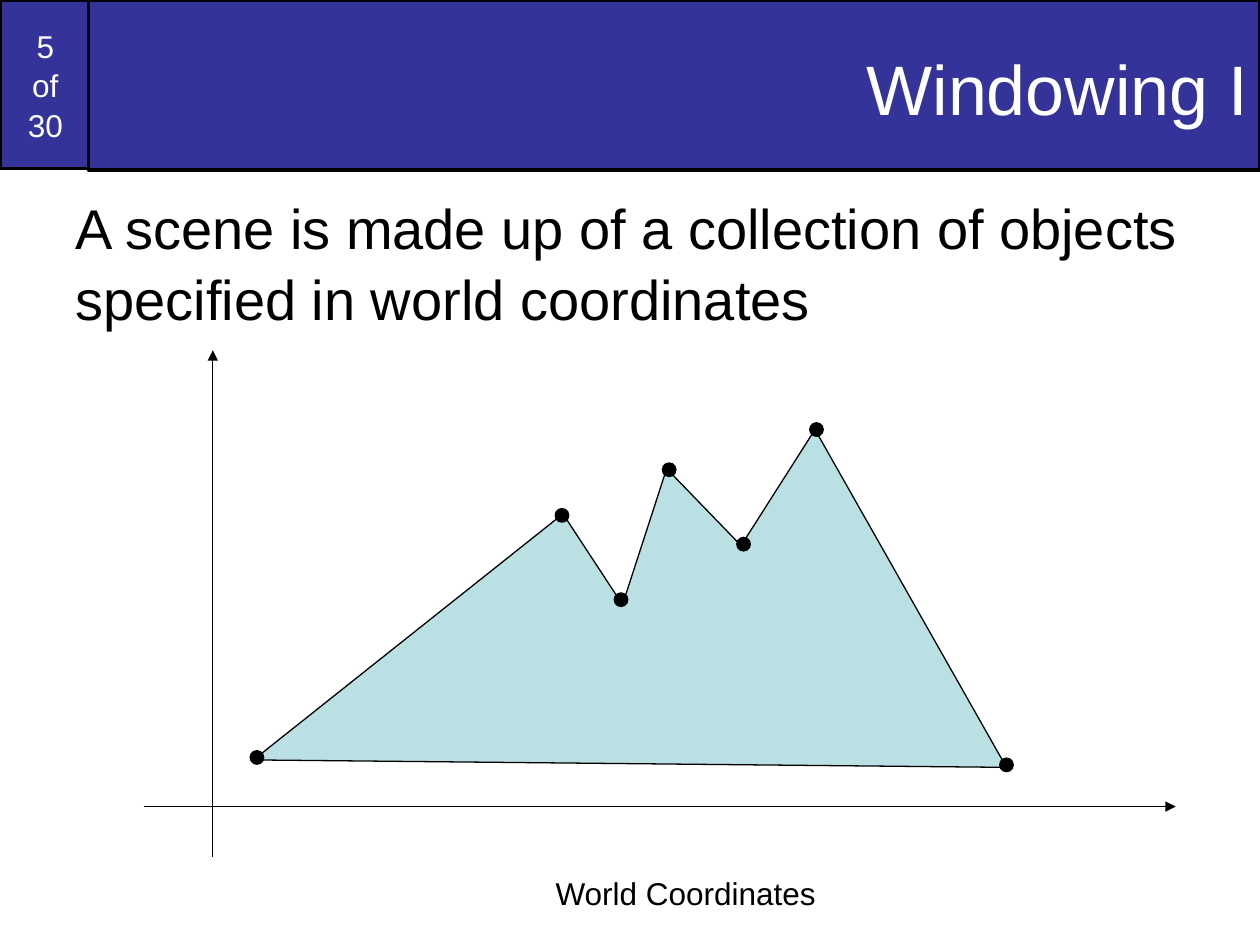
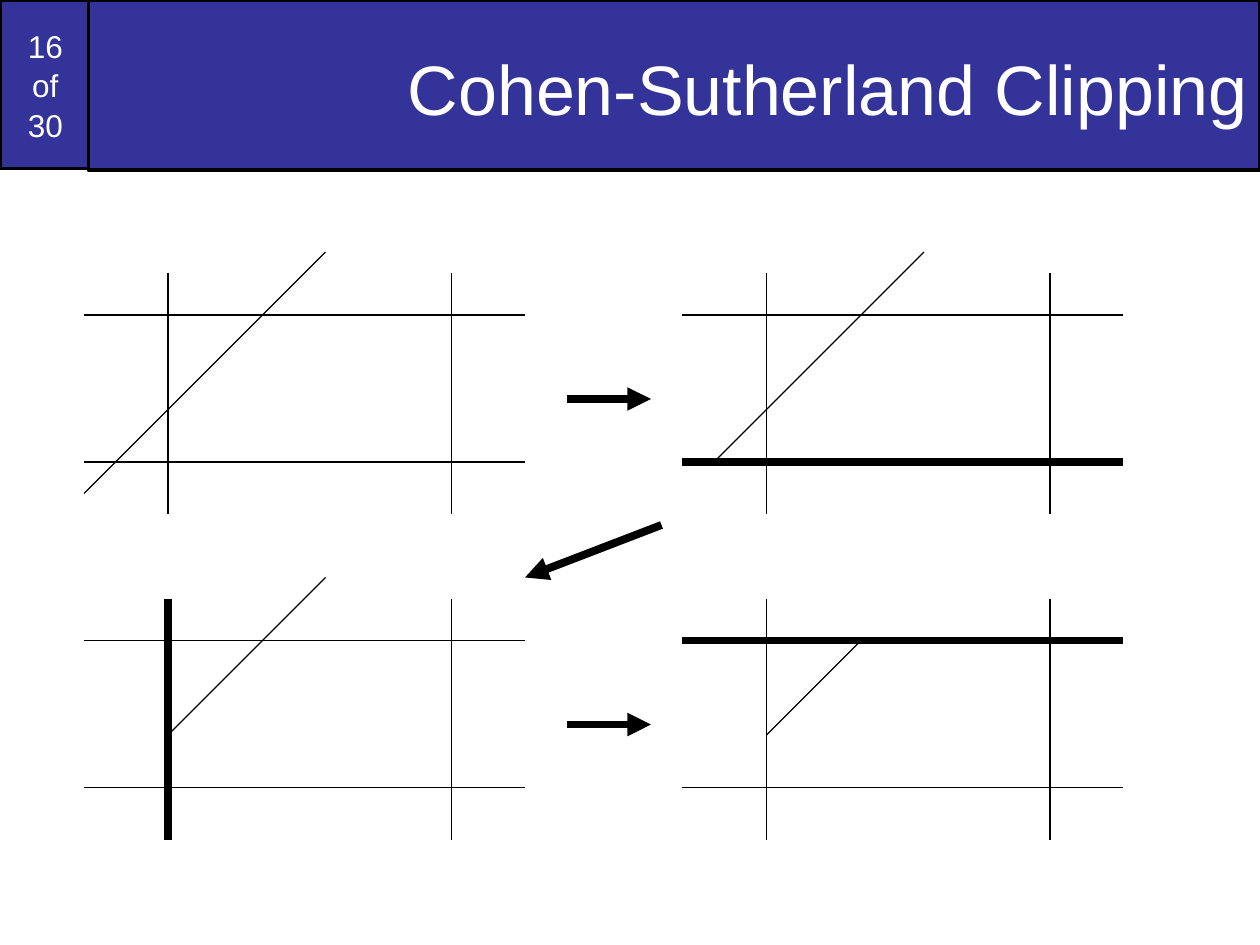
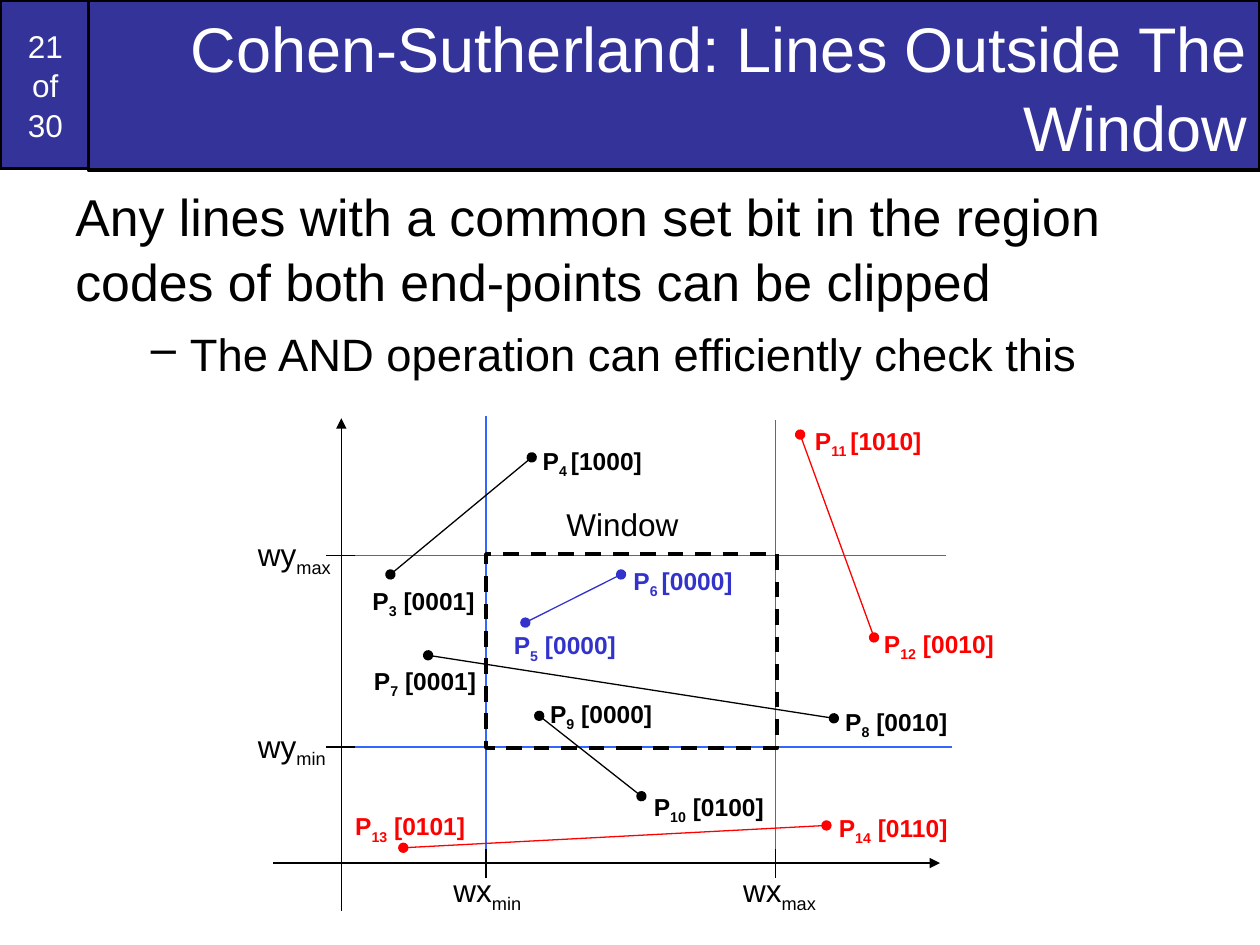
from itertools import pairwise

from lxml.etree import SubElement
from pptx import Presentation
from pptx.dml.color import RGBColor
from pptx.enum.dml import MSO_LINE_DASH_STYLE as Dash
from pptx.enum.shapes import MSO_CONNECTOR as Connector, MSO_SHAPE as Shape
from pptx.enum.text import MSO_ANCHOR as Anchor, MSO_AUTO_SIZE as AutoSize, PP_ALIGN as Align
from pptx.oxml.ns import qn
from pptx.util import Cm, Pt

FONT = "Arial"
BLACK, WHITE, BAND = "000000", "FFFFFF", "333399"
MOUNTAIN, GUIDE, INSIDE, OUTSIDE = "BBE0E3", "3366FF", "3333CC", "FF0000"
THIN, THICK = 0.75, 4.5
LINE_SPACING = 1.05
PAGE_COUNT = 30
GRID = 2.54 / 12

RIDGE = [(2.21, 8.26), (8.45, 3.3), (9.65, 5.13), (10.54, 2.39),
         (12.04, 3.94), (13.53, 1.6), (17.39, 8.41)]
VERTICES = [(2.28, 8.21), (8.43, 3.33), (9.62, 5.03), (10.59, 2.41),
            (12.09, 3.91), (13.56, 1.6), (17.39, 8.36)]

EDGES = {"left": (8, 2, 8, 25), "right": (35, 2, 35, 25),
         "top": (0, 6, 42, 6), "bottom": (0, 20, 42, 20)}
CROSSINGS = [(0, 23), (3, 20), (8, 15), (17, 6), (23, 0)]
CLIP_STEPS = [(None, CROSSINGS), ("bottom", CROSSINGS[1:]),
              ("left", CROSSINGS[2:]), ("top", CROSSINGS[2:4])]
STEP_ARROWS = [(46, 14, 54, 14), (55, 26, 42, 31), (46, 45, 54, 45)]

SEGMENTS = [
    (INSIDE, (5.64, 4.17), (7.57, 3.2),
     [("P|5| [0000]", 5.16, 4.17), ("P|6 |[0000]", 7.57, 2.87)]),
    (BLACK, (2.92, 3.2), (5.77, 0.84),
     [("P|3| [0001]", 2.31, 3.28), ("P|4 |[1000]", 5.74, 0.46)]),
    (BLACK, (5.92, 6.05), (7.98, 7.67),
     [("P|9| [0000]", 5.89, 5.56), ("P|10| [0100]", 7.98, 7.42)]),
    (BLACK, (3.68, 4.83), (11.86, 6.1),
     [("P|7| [0001]", 2.34, 4.88), ("P|8| [0010]", 11.84, 5.72)]),
    (OUTSIDE, (12.67, 4.47), (11.18, 0.38),
     [("P|12| [0010]", 12.62, 4.14), ("P|11 |[1010]", 11.23, 0.05)]),
    (OUTSIDE, (3.18, 8.71), (11.71, 8.26),
     [("P|13| [0101]", 1.96, 7.82), ("P|14| [0110]", 11.71, 7.85)]),
]


def rgb(value):
    return RGBColor.from_string(value)


def style_text(paragraph, size, color=BLACK, align=Align.LEFT, bold=False):
    paragraph.alignment = align
    paragraph.line_spacing = LINE_SPACING
    for run in paragraph.runs:
        run.font.name = FONT
        run.font.size = Pt(size)
        run.font.bold = bold
        run.font.color.rgb = rgb(color)


def style_shape(shape, fill=None, line=None, weight=THIN):
    if fill:
        shape.fill.solid()
        shape.fill.fore_color.rgb = rgb(fill)
    else:
        shape.fill.background()
    if line:
        shape.line.color.rgb = rgb(line)
        shape.line.width = Pt(weight)
    else:
        shape.line.fill.background()


def add_preset(slide, kind, left, top, width, height, **style):
    shape = slide.shapes.add_shape(kind, Cm(left), Cm(top), Cm(width), Cm(height))
    shape.shadow.inherit = False
    style_shape(shape, **style)
    return shape


def add_line(slide, x1, y1, x2, y2, color=BLACK, weight=THIN, head=None, tail=None):
    line = slide.shapes.add_connector(Connector.STRAIGHT, Cm(x1), Cm(y1), Cm(x2), Cm(y2))
    line.line.color.rgb = rgb(color)
    line.line.width = Pt(weight)
    properties = line.element.spPr
    outline = properties.find(qn("a:ln"))
    for end, kind in (("a:headEnd", head), ("a:tailEnd", tail)):
        if kind:
            SubElement(outline, qn(end)).set("type", kind)
    SubElement(properties, qn("a:effectLst"))


def add_text(slide, left, top, width, height, wrap=True):
    box = slide.shapes.add_textbox(Cm(left), Cm(top), Cm(width), Cm(height))
    box.text_frame.word_wrap = wrap
    return box.text_frame


def add_label(slide, text, left, top, width, height, size=18, color=BLACK, bold=False):
    paragraph = add_text(slide, left, top, width, height, wrap=False).paragraphs[0]
    for position, part in enumerate(text.split("|")):
        run = paragraph.add_run()
        run.text = part
        if position == 1:
            run._r.get_or_add_rPr().set("baseline", "-25000")
    style_text(paragraph, size, color, bold=bold)


def add_header(deck, number, heading, size=40):
    slide = deck.slides.add_slide(deck.slide_layouts[5])
    title = slide.shapes.title
    title.left, title.top, title.width, title.height = Cm(1.78), Cm(0), Cm(23.62), Cm(3.43)
    style_shape(title, BAND, BLACK, 2)
    frame = title.text_frame
    frame.text = heading
    frame.word_wrap = True
    frame.auto_size = AutoSize.NONE
    frame.vertical_anchor = Anchor.MIDDLE
    style_text(frame.paragraphs[0], size, WHITE, Align.RIGHT)

    page = add_preset(slide, Shape.RECTANGLE, 0, 0, 1.83, 3.4, fill=BAND, line=BLACK, weight=2)
    page.text_frame.vertical_anchor = Anchor.MIDDLE
    counter = page.text_frame.paragraphs[0]
    counter.text = f"{number}\vof\v{PAGE_COUNT}"
    style_text(counter, 18, WHITE, Align.CENTER)
    title.element.addprevious(page.element)
    return slide


def add_statement(slide, text, top, height, size):
    frame = add_text(slide, 1.27, top, 22.86, height)
    frame.text = text
    style_text(frame.paragraphs[0], size)
    return frame


def add_dash_point(frame, text, size):
    point = frame.add_paragraph()
    point.text = text
    point.level = 1
    point.space_before = Pt(7)
    style_text(point, size)
    properties = point._p.get_or_add_pPr()
    properties.set("marL", str(Cm(2.31)))
    properties.set("indent", str(Cm(-0.79)))
    SubElement(properties, qn("a:buChar")).set("char", "–")


def draw_scene(slide, left, top):
    (start_x, start_y), *ridge = [(Cm(left + x), Cm(top + y)) for x, y in RIDGE]
    outline = slide.shapes.build_freeform(start_x, start_y)
    outline.add_line_segments(ridge, close=True)
    mountain = outline.convert_to_shape()
    mountain.shadow.inherit = False
    style_shape(mountain, MOUNTAIN, BLACK)

    add_line(slide, left, top + 9.2, left + 20.8, top + 9.2, tail="triangle")
    add_line(slide, left + 1.39, top + 10.21, left + 1.39, top, tail="triangle")
    dot = 0.3
    for x, y in VERTICES:
        add_preset(slide, Shape.OVAL, left + x - dot / 2, top + y - dot / 2, dot, dot, fill=BLACK)
    add_label(slide, "World Coordinates", left + 8.05, top + 10.39, 5.77, 1.02)


def draw_grid_line(slide, left, top, ends, **style):
    x1, y1, x2, y2 = (value * GRID for value in ends)
    add_line(slide, left + x1, top + y1, left + x2, top + y2, **style)


def draw_clip_step(slide, left, top, clip_edge, visible):
    for edge, ends in EDGES.items():
        draw_grid_line(slide, left, top, ends, weight=THICK if edge == clip_edge else THIN)
    for start, end in pairwise(visible):
        draw_grid_line(slide, left, top, start + end)


def draw_clip_steps(slide, left, top):
    for index, (clip_edge, visible) in enumerate(CLIP_STEPS):
        row, column = divmod(index, 2)
        draw_clip_step(slide, left + column * 57 * GRID, top + row * 31 * GRID,
                       clip_edge, visible)
    for ends in STEP_ARROWS:
        draw_grid_line(slide, left, top, ends, weight=THICK, tail="triangle")


def draw_region_codes(slide, left, top):
    def line(x1, y1, x2, y2, **style):
        add_line(slide, left + x1, top + y1, left + x2, top + y2, **style)

    def label(text, x, y, width, height, **style):
        add_label(slide, text, left + x, top + y, width, height, **style)

    x_min, x_max, y_max, y_min = 4.85, 10.69, 2.82, 6.68
    line(x_min, 0, x_min, 8.79, color=GUIDE)
    line(x_max, 0.08, x_max, 8.89, color=GUIDE)
    line(14.12, y_max, 2.08, y_max, color=GUIDE)
    line(14.25, y_min, 2.21, y_min, color=GUIDE)
    line(0.56, 9.02, 14, 9.02, tail="triangle")
    line(1.93, 9.98, 1.93, 0.05, tail="triangle")
    window = add_preset(slide, Shape.RECTANGLE, left + x_min, top + 2.79, 5.87, 3.91,
                        line=BLACK, weight=2.25)
    window.line.dash_style = Dash.DASH
    for y in (y_max, y_min):
        line(2.21, y, 1.63, y)
    for x in (x_min, x_max):
        line(x, 8.74, x, 9.32)

    label("wy|max", 0, y_max - 0.58, 1.98, 1.12)
    label("wy|min", 0, y_min - 0.58, 1.88, 1.12)
    label("wx|min", x_min - 0.91, 9.02, 1.88, 1.12)
    label("wx|max", x_max - 0.91, 9.02, 1.98, 1.12)
    label("Window", 6.22, 1.63, 2.77, 1.02)

    for color, start, end, points in SEGMENTS:
        line(*start, *end, color=color, head="oval", tail="oval")
        for text, x, y in points:
            width = 2.72 if len(text) > 11 else 2.57
            label(text, x, y, width, 0.94, size=14, color=color, bold=True)


def build_windowing(deck):
    slide = add_header(deck, 5, "Windowing I")
    add_statement(slide, "A scene is made up of a collection of objects "
                  "specified in world coordinates", 3.71, 4.01, 32)
    draw_scene(slide, 2.9, 7.06)


def build_clipping(deck):
    slide = add_header(deck, 16, "Cohen-Sutherland Clipping")
    draw_clip_steps(slide, 8 * GRID, 24 * GRID)


def build_outside_lines(deck):
    slide = add_header(deck, 21, "Cohen-Sutherland: Lines Outside The Window", 36)
    statement = add_statement(slide, "Any lines with a common set bit in the region codes "
                              "of both end-points can be clipped", 3.53, 5.28, 29.6)
    add_dash_point(statement, "The AND operation can efficiently check this", 25.9)
    draw_region_codes(slide, 4.95, 8.38)


def main():
    deck = Presentation()
    deck.slide_width, deck.slide_height = Cm(25.4), Cm(19.05)
    build_windowing(deck)
    build_clipping(deck)
    build_outside_lines(deck)
    deck.save("out.pptx")


if __name__ == "__main__":
    main()
